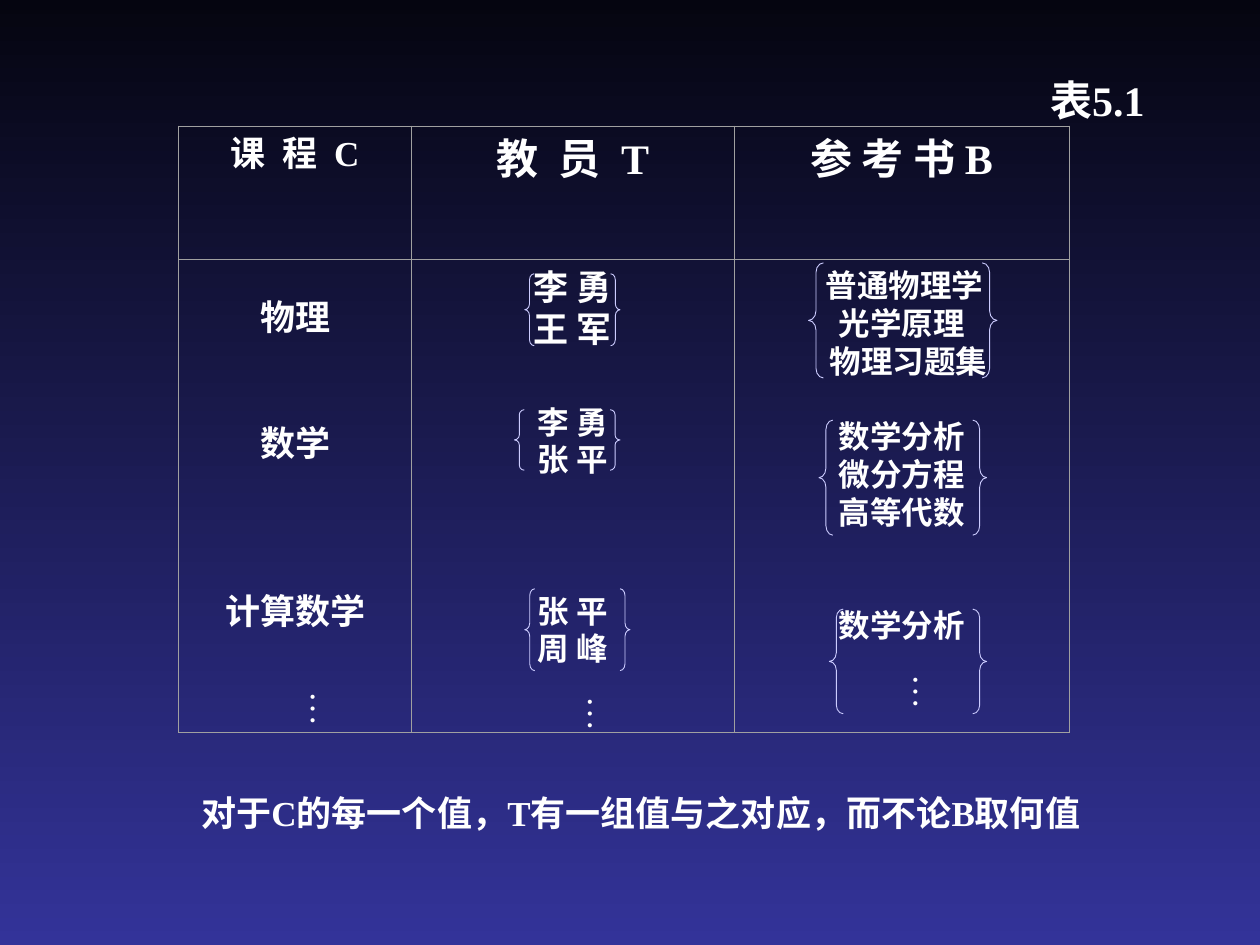
from lxml import etree
from pptx import Presentation
from pptx.dml.color import RGBColor
from pptx.enum.shapes import MSO_SHAPE as Shape
from pptx.enum.text import MSO_ANCHOR as Anchor, PP_ALIGN as Align
from pptx.oxml.ns import qn
from pptx.util import Cm, Pt

LINE_HEIGHT = 1.2

HEADERS = [("课 程 C", 20, 2.5), ("教 员 T", 24, 3), ("参 考 书 B", 24, 0)]

# Each line: text, size, space before, left indent (points)
COURSES = [("物理", 20, 16.8, 0), ("数学", 20, 48, 0), ("计算数学", 20, 72, 0)]
TEACHERS = [("李 勇", 20, 0, 0), ("王 军", 20, 0, 0),
            ("李 勇", 18, 30, 0), ("张 平", 18, 0, 0),
            ("张 平", 18, 64.8, 0), ("周 峰", 18, 0, 0)]
BOOKS = [("普通物理学", 18, 0, 3.5), ("光学原理", 18, 0, 0), ("物理习题集", 18, 0, 8),
         ("数学分析", 18, 21.6, 0), ("微分方程", 18, 0, 0), ("高等代数", 18, 0, 0),
         ("数学分析", 18, 43.2, 0)]

# Each pair: left brace x, right brace x, top, width, height (cm)
BRACE_PAIRS = [(10.58, 12.31, 5.52, 0.19, 1.45), (10.37, 12.3, 8.26, 0.2, 1.22),
               (10.58, 12.5, 11.87, 0.2, 1.65), (16.3, 19.8, 5.3, 0.3, 2.32),
               (16.51, 19.61, 8.47, 0.28, 2.32), (16.72, 19.61, 12.28, 0.28, 2.11)]

ELLIPSES = [(11.22, 13.8, 1.48, 1.27), (5.08, 13.7, 2.03, 1.55),
            (17.57, 13.34, 1.69, 1.06)]


def color(value):
    return RGBColor.from_string(value)


class SlideBuilder:
    font = "Times New Roman"
    ink = "FFFFFF"
    border = "A0A0A0"
    brace_ink = "CCCCFF"
    sky = ("050510", "333399")

    def __init__(self, slide):
        self.slide = slide

    def background(self):
        fill = self.slide.background.fill
        fill.gradient()
        fill.gradient_angle = 270
        for stop, value in zip(fill.gradient_stops, self.sky):
            stop.color.rgb = color(value)

    def style(self, para, size, bold=True):
        for span in para.runs:
            span.font.name = self.font
            span.font.size = Pt(size)
            span.font.bold = bold
            span.font.color.rgb = color(self.ink)

    def text(self, at, words, size, bold=True):
        box = self.slide.shapes.add_textbox(*map(Cm, at))
        frame = box.text_frame
        frame.word_wrap = True
        frame.text = words
        self.style(frame.paragraphs[0], size, bold)
        return frame

    def vertical_ellipsis(self, at):
        frame = self.text(at, "…", 20, bold=False)
        frame.margin_left = frame.margin_right = Cm(0.13)
        frame.margin_top = frame.margin_bottom = Cm(0.25)
        frame._txBody.bodyPr.set("vert", "eaVert")

    def brace(self, kind, at):
        """Draw a brace whose curls are a twelfth of its height."""
        shape = self.slide.shapes.add_shape(kind, *map(Cm, at))
        shape.shadow.inherit = False
        shape.fill.background()
        shape.line.color.rgb = color(self.brace_ink)
        shape.line.width = Pt(0.5)
        width, height = at[2:]
        shape.adjustments[0] = height / 12 / width

    def table(self, left, top, widths, heights):
        frame = self.slide.shapes.add_table(
            len(heights), len(widths), Cm(left), Cm(top), Cm(sum(widths)), Cm(sum(heights)))
        table = frame.table
        table.first_row = table.horz_banding = False
        for column, width in zip(table.columns, widths):
            column.width = Cm(width)
        for row, height in zip(table.rows, heights):
            row.height = Cm(height)
        for cell in table.iter_cells():
            self.frame_cell(cell)
        return table

    def frame_cell(self, cell):
        """Give a cell thin borders and no fill."""
        properties = cell._tc.get_or_add_tcPr()
        for side in ("a:lnL", "a:lnR", "a:lnT", "a:lnB"):
            line = etree.SubElement(properties, qn(side), w=str(Pt(0.5)))
            solid = etree.SubElement(line, qn("a:solidFill"))
            etree.SubElement(solid, qn("a:srgbClr"), val=self.border)
        cell.fill.background()

    def header(self, cell, words, size, tracking):
        cell.text = words
        cell.margin_top = 0
        para = cell.text_frame.paragraphs[0]
        para.alignment = Align.CENTER
        self.style(para, size)
        if tracking:
            para.runs[0].font._element.set("spc", str(int(tracking * 100)))

    def lines(self, cell, entries):
        """Stack centred lines; the first gap becomes part of the cell's top margin."""
        cell.text = "\n".join(entry[0] for entry in entries)
        cell.margin_top = Cm(0.19) + Pt(entries[0][2])
        for index, (para, entry) in enumerate(zip(cell.text_frame.paragraphs, entries)):
            size, gap, indent = entry[1:]
            para.alignment = Align.CENTER
            para.line_spacing = Pt(size * LINE_HEIGHT)
            if index and gap:
                para.space_before = Pt(gap)
            if indent:
                para._p.get_or_add_pPr().set("marL", str(Pt(indent)))
            self.style(para, size)


def main():
    deck = Presentation()
    deck.slide_width, deck.slide_height = Cm(25.4), Cm(19.05)
    page = SlideBuilder(deck.slides.add_slide(deck.slide_layouts[6]))
    page.background()

    table = page.table(3.6, 2.54, (4.7, 6.5, 6.75), (2.69, 9.53))
    for column, (heading, entries) in enumerate(zip(HEADERS, (COURSES, TEACHERS, BOOKS))):
        page.header(table.cell(0, column), *heading)
        page.lines(table.cell(1, column), entries)

    for at in ELLIPSES:
        page.vertical_ellipsis(at)
    for left, right, top, width, height in BRACE_PAIRS:
        page.brace(Shape.LEFT_BRACE, (left, top, width, height))
        page.brace(Shape.RIGHT_BRACE, (right, top, width, height))

    label = page.text((20.52, 1.06, 3.2, 1.91), "表5.1", 24)
    label.vertical_anchor = Anchor.MIDDLE
    label.paragraphs[0].alignment = Align.CENTER
    note = page.text((3.81, 15.66, 20.53, 1.27),
                     "对于C的每一个值，T有一组值与之对应，而不论B取何值", 20)
    note.paragraphs[0].line_spacing = 1.2
    deck.save("out.pptx")


if __name__ == "__main__":
    main()
